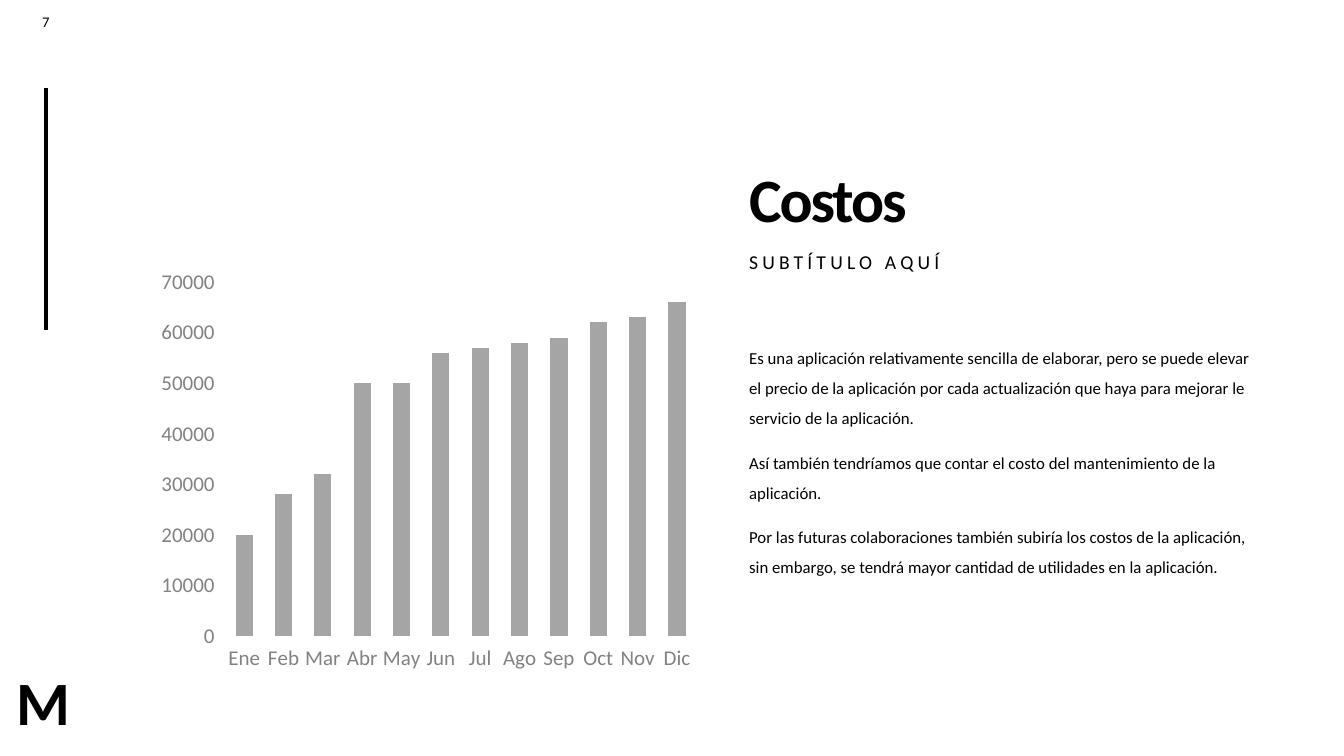
from pptx import Presentation
from pptx import util as u
from pptx.chart import data as cd
from pptx.dml.color import RGBColor
from pptx.enum import chart as ch, shapes, text
from pptx.oxml.ns import qn
from lxml import etree

THEME = {
    "font": "Calibri", "ink": "000000", "bar": "A5A5A5", "axis": "828282",
    "page": 10.5, "mark": 44, "title": 44, "sub": 14, "body": 12, "tick": 15,
}
MONTHS = ["Ene", "Feb", "Mar", "Abr", "May", "Jun",
          "Jul", "Ago", "Sep", "Oct", "Nov", "Dic"]
COSTS = [20000, 28000, 32000, 50000, 50000, 56000,
         57000, 58000, 59000, 62000, 63000, 66000]
BODY = [
    "Es una aplicación relativamente sencilla de elaborar, pero se puede elevar el precio de la aplicación por cada actualización que haya para mejorar le servicio de la aplicación.",
    "Así también tendríamos que contar el costo del mantenimiento de la aplicación.",
    "Por las futuras colaboraciones también subiría los costos de la aplicación, sin embargo, se tendrá mayor cantidad de utilidades en la aplicación.",
]
LEFT, WIDE = 7.43, 5.21
PAD = (0, 0.05, 0.1, 0.05)
TOP, MID, LOW = text.MSO_ANCHOR.TOP, text.MSO_ANCHOR.MIDDLE, text.MSO_ANCHOR.BOTTOM
TEXTS = [
    {"at": (0.17, 0.08, 0.57, 0.27), "lines": ["7"], "size": "page",
     "pad": (0.1, 0.05, 0.1, 0.05), "align": text.PP_ALIGN.CENTER},
    {"at": (0.14, 6.56, 0.59, 0.78), "lines": ["M"], "size": "mark",
     "pad": (0.02,) * 4, "anchor": MID, "bold": True, "wrap": False},
    {"at": (LEFT, 0.92, WIDE, 1.47), "lines": ["Costos"], "size": "title",
     "anchor": LOW, "bold": True, "lead": 0.9, "track": -1.5},
    {"at": (LEFT, 2.46, WIDE, 0.66), "lines": ["SUBTÍTULO AQUÍ"], "size": "sub",
     "lead": 0.9, "gap": 10, "track": 3},
    {"at": (LEFT, 3.3, WIDE, 3.39), "lines": BODY, "size": "body",
     "lead": 1.5, "gap": 10},
]


def color(key):
    return RGBColor.from_string(THEME[key])


def style(font, size, ink="ink", bold=False):
    font.name, font.size, font.bold = THEME["font"], u.Pt(THEME[size]), bold
    font.color.rgb = color(ink)


def write(slide, at, lines, size, pad=PAD, anchor=TOP, align=text.PP_ALIGN.LEFT,
          bold=False, wrap=True, lead=1.0, gap=0, track=0):
    frame = slide.shapes.add_textbox(*map(u.Inches, at)).text_frame
    frame.text = "\n".join(lines)
    frame.word_wrap, frame.vertical_anchor = wrap, anchor
    (frame.margin_left, frame.margin_top,
     frame.margin_right, frame.margin_bottom) = map(u.Inches, pad)
    for para in frame.paragraphs:
        para.alignment, para.line_spacing = align, lead
        para.space_before = u.Pt(gap)
        for run in para.runs:
            style(run.font, size, bold=bold)
            if track:
                run._r.get_or_add_rPr().set("spc", str(int(track * 100)))


def rule(slide):
    ends = map(u.Inches, (0.46, 3.27, 0.46, 0.87))
    line = slide.shapes.add_connector(shapes.MSO_CONNECTOR.STRAIGHT, *ends)
    line.line.color.rgb, line.line.width = color("ink"), u.Pt(3)
    etree.SubElement(line._element.spPr, qn("a:effectLst"))


def plot(slide):
    data = cd.CategoryChartData()
    data.categories = MONTHS
    data.add_series("Series 1", COSTS)
    box = map(u.Inches, (1.49, 2.59, 5.53, 4.15))
    chart = slide.shapes.add_chart(ch.XL_CHART_TYPE.COLUMN_CLUSTERED, *box, data).chart
    chart.has_legend = chart.has_title = False
    style(chart.font, "tick", "axis")
    for axis in (chart.category_axis, chart.value_axis):
        axis.has_major_gridlines = False
        axis.format.line.fill.background()
        style(axis.tick_labels.font, "tick", "axis")
    axis.minimum_scale, axis.maximum_scale, axis.major_unit = 0, 70000, 10000
    bars = chart.plots[0]
    bars.gap_width, bars.vary_by_categories = 129, False
    fill = bars.series[0].format.fill
    fill.solid()
    fill.fore_color.rgb = color("bar")


def main():
    deck = Presentation()
    deck.slide_width, deck.slide_height = u.Inches(13.33), u.Inches(7.5)
    slide = deck.slides.add_slide(deck.slide_layouts[6])
    rule(slide)
    plot(slide)
    for item in TEXTS:
        write(slide, **item)
    deck.save("out.pptx")


if __name__ == "__main__":
    main()
